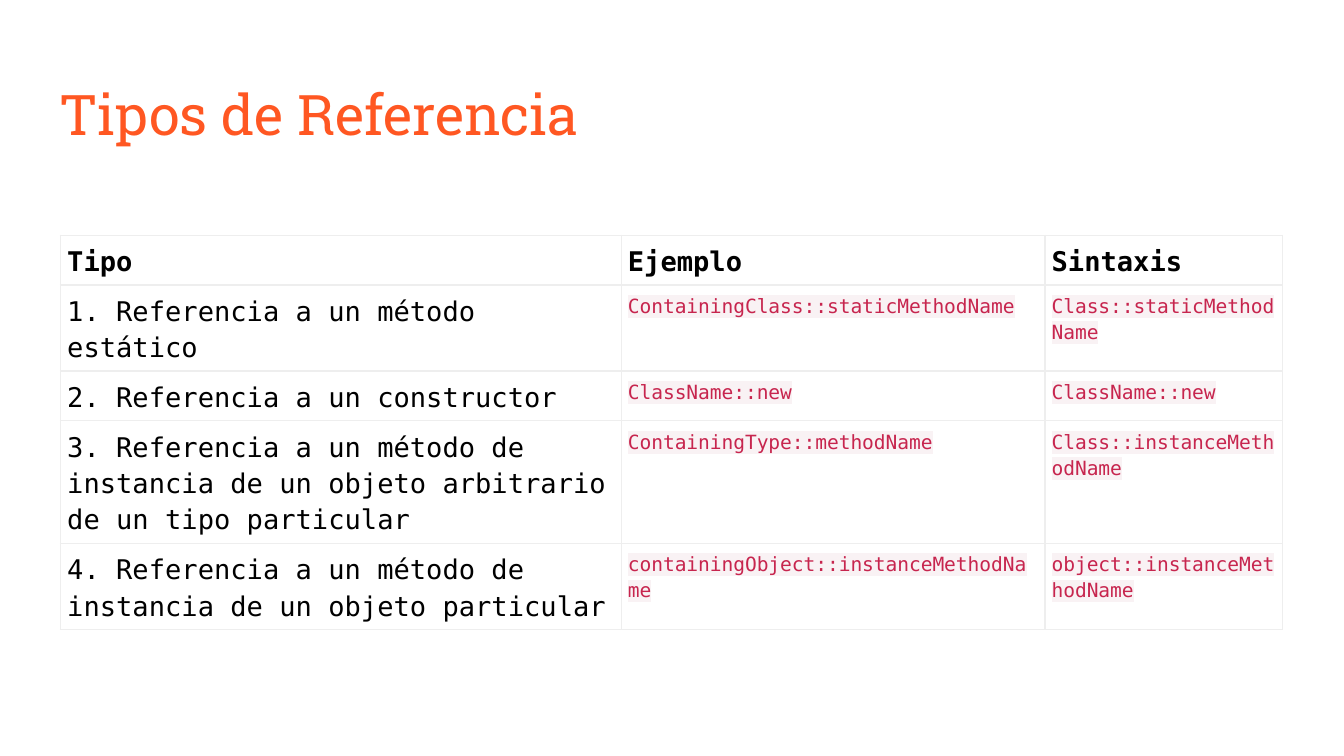
from lxml.etree import SubElement
from pptx import Presentation
from pptx.dml.color import RGBColor
from pptx.enum.text import MSO_ANCHOR, MSO_AUTO_SIZE, PP_ALIGN
from pptx.oxml import parse_xml
from pptx.oxml.ns import nsdecls, qn
from pptx.util import Pt

TITLE = "Tipos de Referencia"
ROWS = [
    ("Tipo", "Ejemplo", "Sintaxis"),
    ("1. Referencia a un método estático",
     "ContainingClass::staticMethodName", "Class::staticMethodName"),
    ("2. Referencia a un constructor", "ClassName::new", "ClassName::new"),
    ("3. Referencia a un método de instancia de un objeto arbitrario de un tipo particular",
     "ContainingType::methodName", "Class::instanceMethodName"),
    ("4. Referencia a un método de instancia de un objeto particular",
     "containingObject::instanceMethodName", "object::instanceMethodName"),
]
COLUMN_WIDTHS = (300.4, 227, 127.4)
ROW_HEIGHTS = (23, 30, 23, 57, 40)
TABLE_LEFT, TABLE_TOP = 32.4, 126
MARGINS = ("margin_left", "margin_top", "margin_right", "margin_bottom")
BORDER, BORDER_WIDTH, CELL_FILL = "EEEEEE", 0.75, "FFFFFF"
MONO = "DejaVu Sans Mono"
TITLE_FORMAT = {"name": "Roboto Slab", "size": Pt(30), "bold": False}
HEADER = {"name": MONO, "size": Pt(14.5), "bold": True}
LABEL = {**HEADER, "bold": False}
CODE = {**LABEL, "size": Pt(10.5)}


def color(value):
    """Turn a hex string into a colour."""
    return RGBColor.from_string(value)


def set_values(target, values):
    """Set each attribute in the dict on the target."""
    for name, value in values.items():
        setattr(target, name, value)


def write(paragraph, text, values, ink):
    """Add a formatted run to the paragraph."""
    run = paragraph.add_run()
    run.text = text
    set_values(run.font, values)
    run.font.color.rgb = color(ink)
    return run


def highlight(run, value):
    """Put a highlight colour behind the run."""
    mark = parse_xml(f'<a:highlight {nsdecls("a")}><a:srgbClr val="{value}"/></a:highlight>')
    run.font._element.find(qn("a:solidFill")).addnext(mark)


def add_borders(cell):
    """Draw the four thin borders of the cell."""
    properties = cell._tc.get_or_add_tcPr()
    for index, side in enumerate(("lnL", "lnR", "lnT", "lnB")):
        line = parse_xml(f'<a:{side} {nsdecls("a")} w="{Pt(BORDER_WIDTH)}"/>')
        fill = SubElement(line, qn("a:solidFill"))
        SubElement(fill, qn("a:srgbClr"), val=BORDER)
        properties.insert(index, line)


def add_title(slide):
    """Place and fill the title placeholder."""
    title = slide.shapes.title
    set_values(title, {"left": Pt(24.5), "top": Pt(35.3), "width": Pt(671), "height": Pt(45.4)})
    frame = title.text_frame
    set_values(frame, {**dict.fromkeys(MARGINS, Pt(7.2)), "word_wrap": True,
                       "auto_size": MSO_AUTO_SIZE.NONE, "vertical_anchor": MSO_ANCHOR.TOP})
    paragraph = frame.paragraphs[0]
    paragraph.alignment = PP_ALIGN.LEFT
    write(paragraph, TITLE, TITLE_FORMAT, "FF5722")


def fill_cell(cell, text, values, ink, shade):
    """Format one table cell and write its text."""
    cell.fill.solid()
    cell.fill.fore_color.rgb = color(CELL_FILL)
    add_borders(cell)
    set_values(cell, dict.fromkeys(MARGINS, Pt(3.6)))
    paragraph = cell.text_frame.paragraphs[0]
    paragraph.line_spacing = 1.15
    highlight(write(paragraph, text, values, ink), shade)


def add_reference_table(slide):
    """Build the table of reference types."""
    table = slide.shapes.add_table(
        len(ROWS), len(COLUMN_WIDTHS), Pt(TABLE_LEFT), Pt(TABLE_TOP),
        Pt(sum(COLUMN_WIDTHS)), Pt(sum(ROW_HEIGHTS))).table
    set_values(table, {"first_row": False, "horz_banding": False})
    for column, width in zip(table.columns, COLUMN_WIDTHS):
        column.width = Pt(width)
    for row, height in zip(table.rows, ROW_HEIGHTS):
        row.height = Pt(height)
    for row_index, texts in enumerate(ROWS):
        for column_index, text in enumerate(texts):
            cell = table.cell(row_index, column_index)
            if row_index and column_index:
                fill_cell(cell, text, CODE, "C7254E", "F9F2F4")
            else:
                fill_cell(cell, text, LABEL if row_index else HEADER, "000000", CELL_FILL)


def main():
    """Build and save the slide."""
    presentation = Presentation()
    set_values(presentation, {"slide_width": Pt(720), "slide_height": Pt(405)})
    slide = presentation.slides.add_slide(presentation.slide_layouts[5])
    slide.background.fill.solid()
    slide.background.fill.fore_color.rgb = color("FFFFFF")
    add_title(slide)
    add_reference_table(slide)
    presentation.save("out.pptx")


if __name__ == "__main__":
    main()
